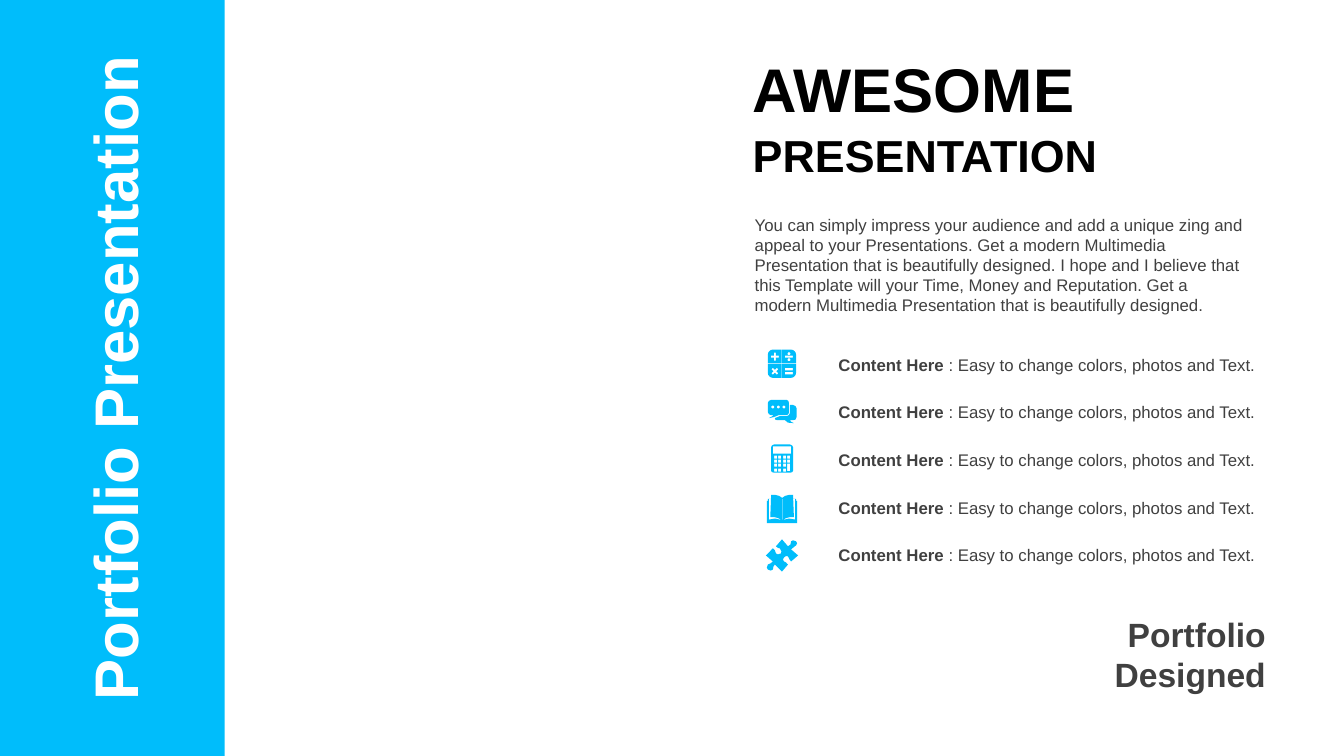
from math import cos, pi, sin

from pptx import Presentation
from pptx.dml.color import RGBColor
from pptx.enum.shapes import MSO_SHAPE
from pptx.enum.text import MSO_ANCHOR, MSO_AUTO_SIZE, PP_ALIGN
from pptx.util import Cm, Pt

RECTANGLE = MSO_SHAPE.RECTANGLE
TOP, MIDDLE = MSO_ANCHOR.TOP, MSO_ANCHOR.MIDDLE
LEFT, CENTER = PP_ALIGN.LEFT, PP_ALIGN.CENTER
RIGHT, JUSTIFY = PP_ALIGN.RIGHT, PP_ALIGN.JUSTIFY
GROW, FIXED = MSO_AUTO_SIZE.SHAPE_TO_FIT_TEXT, MSO_AUTO_SIZE.NONE
color = RGBColor.from_string
BLUE, GRAY, BLACK, WHITE = "00BDFB", "404040", "000000", "FFFFFF"
ICON_UNIT = Cm(0.0254)

presentation = Presentation()
presentation.slide_width = Cm(33.87)
presentation.slide_height = Cm(19.05)
slide = presentation.slides.add_slide(presentation.slide_layouts[5])


def add_text(text, box, size, shape=None, fill=GRAY, bold=False, plain="",
             align=LEFT, anchor=TOP, autosize=GROW, inset=0.25, spacing=1.0):
    """Write text, followed by an optional plain-weight run, in a box given in cm."""
    left, top, width, height = (Cm(length) for length in box)
    if shape is None:
        shape = slide.shapes.add_textbox(left, top, width, height)
    shape.left, shape.top, shape.width, shape.height = left, top, width, height
    frame = shape.text_frame
    frame.word_wrap = True
    frame.auto_size = autosize
    frame.vertical_anchor = anchor
    frame.margin_left = frame.margin_right = Cm(inset)
    paragraph = frame.paragraphs[0]
    paragraph.alignment = align
    paragraph.line_spacing = spacing
    for words, is_bold in ((text, bold), (plain, False)):
        if words:
            run = paragraph.add_run()
            run.text = words
            run.font.name = "Arial"
            run.font.size = Pt(size)
            run.font.bold = is_bold
            run.font.color.rgb = color(fill)
    return shape


def add_icon(left, top, outlines, boxes=(), dots=()):
    """Draw one shape from outlines, with boxes and round dots cut out of it."""
    contours = list(outlines)
    contours += [[(x1, y1), (x2, y1), (x2, y2), (x1, y2)] for x1, y1, x2, y2 in boxes]
    contours += [[(x + 1.5 * cos(step * pi / 6), y + 1.5 * sin(step * pi / 6))
                  for step in range(12)] for x, y in dots]
    builder = None
    for contour in contours:
        start, *rest = [(round(x * 10), round(y * 10)) for x, y in contour]
        if builder is None:
            builder = slide.shapes.build_freeform(*start, scale=ICON_UNIT / 10)
        else:
            builder.move_to(*start)
        builder.add_line_segments(rest, close=True)
    icon = builder.convert_to_shape(Cm(left), Cm(top))
    icon.shadow.inherit = False
    icon.fill.solid()
    icon.fill.fore_color.rgb = color(BLUE)
    icon.line.fill.background()


# Side band
band = slide.shapes.add_shape(RECTANGLE, 0, 0, Cm(5.66), presentation.slide_height)
band.shadow.inherit = False
band.fill.solid()
band.fill.fore_color.rgb = color(BLUE)
band.line.fill.background()
band_label = add_text("Portfolio Presentation", (-5.79, 8.08, 17.12, 2.9), 44,
                      fill=WHITE, bold=True, align=CENTER, anchor=MIDDLE,
                      autosize=FIXED, spacing=1.1)
band_label.rotation = 270

# Heading
add_text("AWESOME", (18.72, 1.14, 13, 2.13), 44, shape=slide.shapes.title,
         fill=BLACK, bold=True, align=JUSTIFY, anchor=MIDDLE)
add_text("PRESENTATION", (18.72, 3.07, 13, 1.63), 32,
         fill=BLACK, bold=True, align=JUSTIFY, anchor=MIDDLE)

# Introduction and closing line
add_text("You can simply impress your audience and add a unique zing and appeal to "
         "your Presentations. Get a modern Multimedia Presentation that is beautifully "
         "designed. I hope and I believe that this Template will your Time, Money and "
         "Reputation. Get a modern Multimedia Presentation that is beautifully designed.",
         (18.72, 5.28, 13, 2.82), 12, inset=0.3)
add_text("Portfolio Designed", (27.15, 15.34, 5, 2.39), 24, bold=True, align=RIGHT)

# Content rows
for row in range(5):
    add_text("Content Here ", (20.88, 8.81 + 1.2 * row, 11.25, 0.77), 12, bold=True,
             plain=": Easy to change colors, photos and Text.")

# Arithmetic signs: one rounded tile mirrored into four
tile = [(5, 0), (13.7, 0), (13.7, 13.7), (0, 13.7), (0, 5), (0.4, 3), (1.5, 1.5), (3, 0.4)]
tiles = [[(28 - x if flip_x else x, 28 - y if flip_y else y) for x, y in tile]
         for flip_x in (False, True) for flip_y in (False, True)]
plus = [(6, 3), (8, 3), (8, 6), (11, 6), (11, 8), (8, 8),
        (8, 11), (6, 11), (6, 8), (3, 8), (3, 6), (6, 6)]
times = [(5, 18), (7, 20), (9, 18), (10.5, 19.5), (8.5, 21.5), (10.5, 23.5),
         (9, 25), (7, 23), (5, 25), (3.5, 23.5), (5.5, 21.5), (3.5, 19.5)]
add_icon(19.35, 8.81, tiles + [plus, times],
         boxes=[(17, 6, 25, 8), (17, 18, 25, 20.5), (17, 22, 25, 24.5)],
         dots=[(21, 4), (21, 10)])

# Speech bubbles
front_bubble = [(3, 0), (19, 0), (20.5, 1), (21, 3), (21, 12), (20.5, 14), (19, 15),
                (11, 15), (6, 17), (1, 18), (4, 16.5), (6, 15), (3, 15), (1, 14),
                (0, 12), (0, 3), (1, 1)]
back_bubble = [(22, 5), (25, 5), (27.5, 6), (28.5, 8), (28.5, 17), (27.5, 19.5),
               (25, 20), (22, 20), (23, 21.5), (26, 23), (20, 22.5), (17, 20),
               (9, 20), (7.5, 19.5), (7, 18), (12, 16), (19, 16), (21, 15), (22, 13)]
add_icon(19.35, 10.08, [front_bubble, back_bubble],
         dots=[(x, 7) for x in (5, 10.5, 16)])

# Calculator: a screen, a grid of keys and one tall key
body = [(3, 0), (19, 0), (21, 1), (22, 3), (22, 26), (21, 27.5), (19, 28),
        (3, 28), (1, 27.5), (0, 26), (0, 3), (1, 1)]
keys = [(x, y, x + 3, y + 3) for y in (11, 15, 19, 24) for x in (3, 7, 12, 16)
        if x < 16 or y < 19]
add_icon(19.43, 11.2, [body], boxes=keys + [(2, 2, 20, 9), (16, 19, 19, 26.5)])

# Open book: cover with the gap around each page
cover = [(0, 6), (1, 6), (1, 4), (4, 4), (4, 0), (8, 0), (12, 1), (15, 3), (18, 1),
         (22, 0), (26, 0), (26, 4), (29, 4), (29, 6), (30, 6), (30, 28), (0, 28)]
left_gap = [(2, 4), (2, 24.5), (8, 23.5), (14.8, 25), (11, 23), (7, 22), (3.3, 22), (4, 4)]
right_gap = [(30 - x, y) for x, y in left_gap]
add_icon(19.33, 12.47, [cover, left_gap, right_gap], boxes=[(14.7, 4, 15.3, 24.5)])

# Puzzle piece
puzzle = [(30, 2), (31, 4), (30, 6), (28, 7.5), (25, 10), (32, 16), (25, 22),
          (23.5, 20), (22, 17), (20, 16.5), (18, 18), (17, 20), (18, 22), (20, 23),
          (22, 25), (16, 32), (9, 25), (7.5, 27), (7, 30), (5, 31), (2, 30), (1, 28),
          (2, 25), (4.5, 24), (7, 22), (0, 16), (7, 9), (9, 11), (10, 14), (12, 15),
          (15, 14), (15.5, 12), (14, 9), (12, 8.5), (10, 7), (16, 0), (22, 7),
          (24.5, 5), (25, 2), (27, 1)]
add_icon(19.3, 13.59, [puzzle])

presentation.save("out.pptx")
